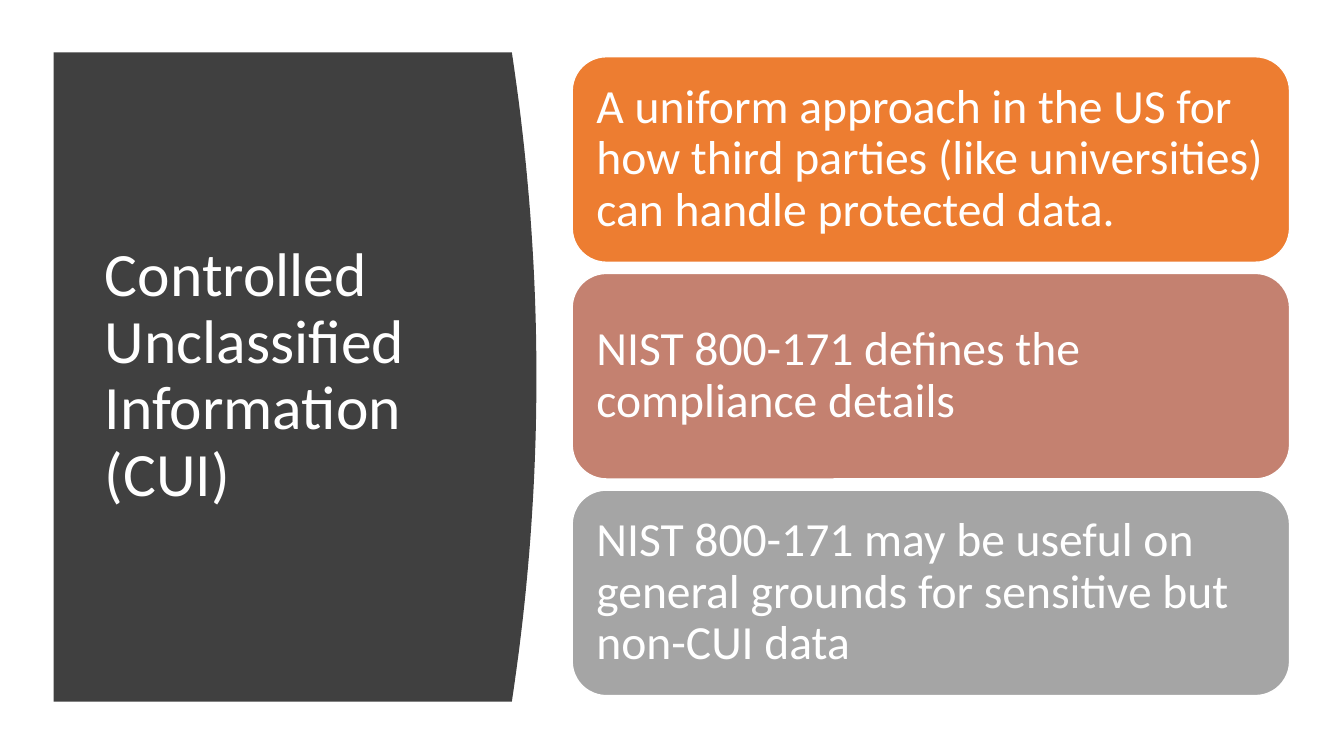
import pptx
import pptx.util
import pptx.dml.color
import pptx.enum.shapes
import pptx.enum.text

Cm = pptx.util.Cm
Pt = pptx.util.Pt

HEAD = "Controlled Unclassified Information (CUI)"
CARDS = [
    ("A uniform approach in the US for how third parties (like universities) can handle protected data.", "ED7D31"),
    ("NIST 800-171 defines the compliance details", "C48170"),
    ("NIST 800-171 may be useful on general grounds for sensitive but non-CUI data", "A5A5A5"),
]
FONT = "Calibri"
WHITE = "FFFFFF"
PANEL = {"left": 1.35, "top": 1.32, "side": 12.9, "bulge": 0.62, "tall": 16.36, "steps": 40}
CARD = {"left": 14.42, "top": 1.43, "wide": 18.08, "tall": 5.18, "pitch": 5.46}
INSET = 0.36


def paint(color, value):
    color.rgb = pptx.dml.color.RGBColor.from_string(value)


def fill(shape, value):
    shape.shadow.inherit = False
    shape.fill.solid()
    paint(shape.fill.fore_color, value)


def write(shape, text, size):
    frame = shape.text_frame
    frame.word_wrap = True
    frame.auto_size = pptx.enum.text.MSO_AUTO_SIZE.NONE
    frame.vertical_anchor = pptx.enum.text.MSO_ANCHOR.MIDDLE
    para = frame.paragraphs[0]
    para.alignment = pptx.enum.text.PP_ALIGN.LEFT
    para.line_spacing = 0.9
    run = para.add_run()
    run.text = text
    run.font.name = FONT
    run.font.size = Pt(size)
    paint(run.font.color, WHITE)
    return frame


def edge():
    points = []
    for step in range(PANEL["steps"] + 1):
        part = step / PANEL["steps"]
        x = PANEL["side"] + PANEL["bulge"] * (1 - (2 * part - 1) ** 2)
        points.append((Cm(x), Cm(PANEL["top"] + part * PANEL["tall"])))
    return points


def add_panel(slide):
    left, top = Cm(PANEL["left"]), Cm(PANEL["top"])
    form = slide.shapes.build_freeform(left, top)
    base = (left, Cm(PANEL["top"] + PANEL["tall"]))
    form.add_line_segments(edge() + [base], close=True)
    panel = form.convert_to_shape()
    fill(panel, "404040")
    panel.line.fill.background()
    return panel


def add_card(slide, row, text, color):
    top = CARD["top"] + row * CARD["pitch"]
    kind = pptx.enum.shapes.MSO_SHAPE.ROUNDED_RECTANGLE
    card = slide.shapes.add_shape(
        kind, Cm(CARD["left"]), Cm(top), Cm(CARD["wide"]), Cm(CARD["tall"]))
    fill(card, color)
    paint(card.line.color, WHITE)
    card.line.width = Pt(1)
    frame = write(card, text, 34)
    frame.margin_left = frame.margin_right = Cm(INSET)
    frame.margin_top = frame.margin_bottom = Cm(INSET)


def main():
    deck = pptx.Presentation()
    deck.slide_width, deck.slide_height = Cm(33.87), Cm(19.05)
    slide = deck.slides.add_slide(deck.slide_layouts.get_by_name("Title Only"))
    title = slide.shapes.title
    title.left, title.top = Cm(2.39), Cm(2.82)
    title.width, title.height = Cm(9.5), Cm(13.34)
    write(title, HEAD, 44)
    panel = add_panel(slide)
    title.element.addprevious(panel.element)
    for row, (text, color) in enumerate(CARDS):
        add_card(slide, row, text, color)
    deck.save("out.pptx")


if __name__ == "__main__":
    main()
